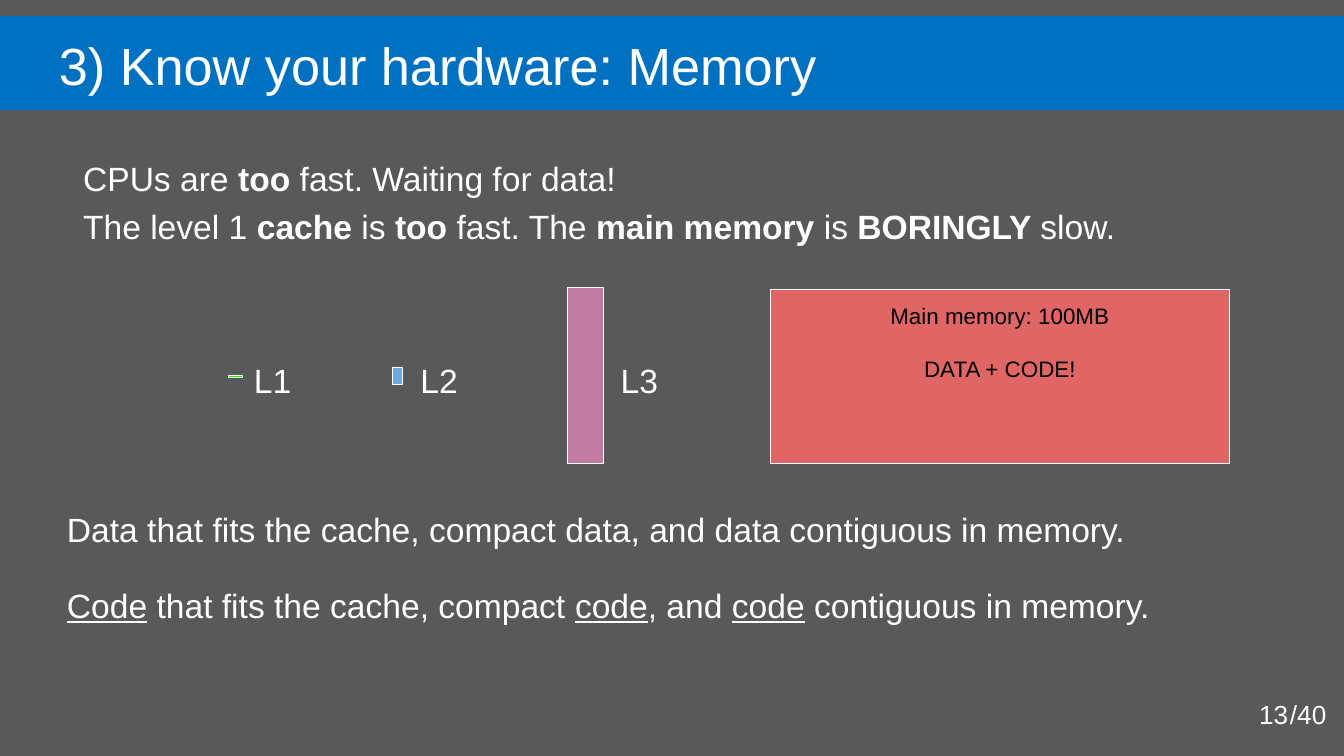
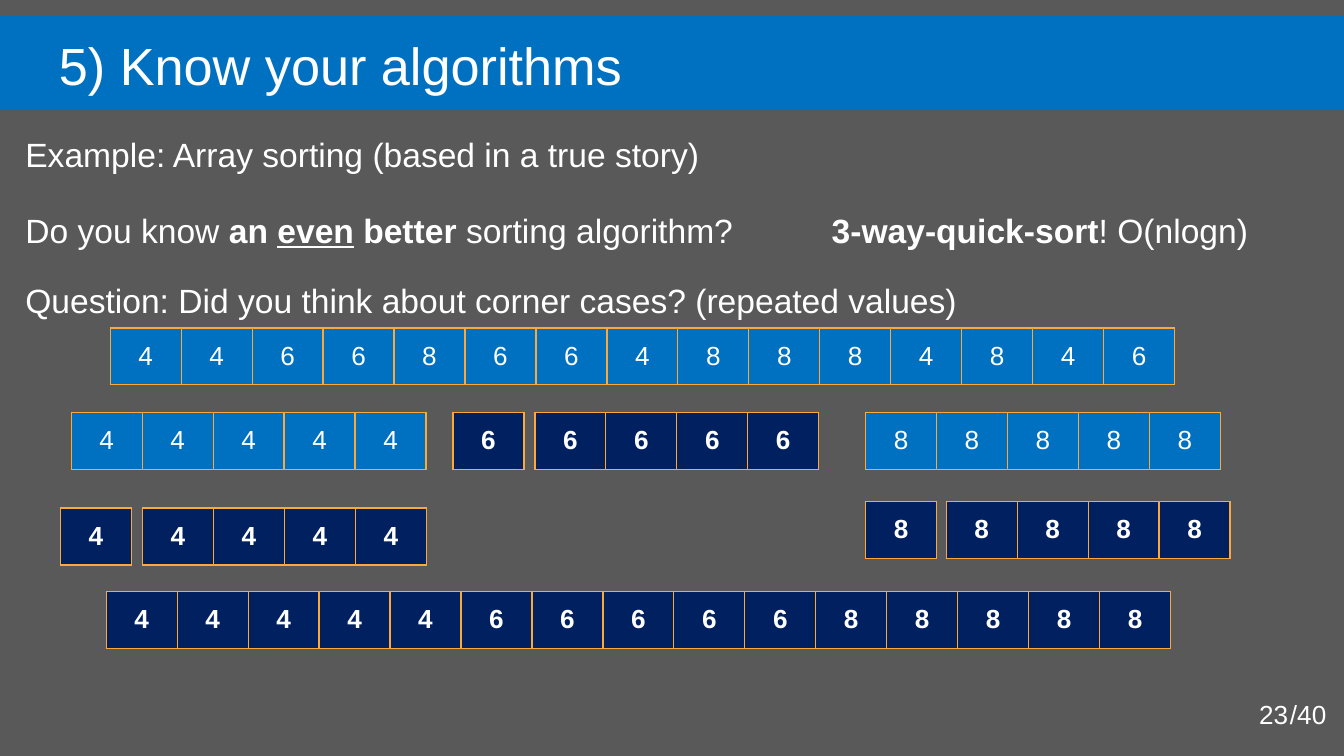
from lxml.etree import SubElement
from pptx import Presentation
from pptx.dml.color import RGBColor
from pptx.enum.shapes import MSO_SHAPE
from pptx.enum.text import MSO_ANCHOR, PP_ALIGN
from pptx.oxml.ns import qn
from pptx.util import Inches, Pt

FONT = "Arial"
GREY, WHITE, BLACK = "595959", "FFFFFF", "000000"
BLUE, NAVY, ORANGE = "0070C0", "002060", "FEA83A"
CELL_WIDTH, CELL_HEIGHT = 7.92 / 15, 0.42
PAGE_COUNT = 40


def color(value):
    return RGBColor.from_string(value)


def set_frame(frame, anchor=MSO_ANCHOR.TOP):
    frame.word_wrap = True
    frame.vertical_anchor = anchor
    frame.margin_left = frame.margin_right = Inches(0.1)
    frame.margin_top = frame.margin_bottom = Inches(0.1)


def add_spans(para, spans, size, ink=WHITE):
    """Each span is plain text or a (text, marks) pair; marks hold b and u."""
    for item in spans:
        text, marks = (item, "") if isinstance(item, str) else item
        span = para.add_run()
        span.text = text
        span.font.name = FONT
        span.font.size = Pt(size)
        span.font.color.rgb = color(ink)
        span.font.bold = "b" in marks
        span.font.underline = "u" in marks


def add_text(page, box, paragraphs, size=18, spacing=1.15, after=16,
             anchor=MSO_ANCHOR.TOP):
    frame = page.shapes.add_textbox(*map(Inches, box)).text_frame
    set_frame(frame, anchor)
    for index, spans in enumerate(paragraphs):
        para = frame.add_paragraph() if index else frame.paragraphs[0]
        para.line_spacing = spacing
        para.space_after = Pt(after)
        add_spans(para, spans, size)
    return frame


def add_tab_stop(para, position):
    stops = SubElement(para._p.get_or_add_pPr(), qn("a:tabLst"))
    SubElement(stops, qn("a:tab"), pos=str(Inches(position)), algn="l")


def add_block(page, box, fill, line=None):
    block = page.shapes.add_shape(MSO_SHAPE.RECTANGLE, *map(Inches, box))
    block.shadow.inherit = False
    block.fill.solid()
    block.fill.fore_color.rgb = color(fill)
    if line:
        block.line.color.rgb = color(line)
        block.line.width = Pt(0.25)
    else:
        block.line.fill.background()
    return block


def add_page(deck, title, number):
    """Add a page with its background, title band and page number."""
    page = deck.slides.add_slide(deck.slide_layouts[6])
    page.background.fill.solid()
    page.background.fill.fore_color.rgb = color(GREY)
    add_block(page, (0, 0.12, 10, 0.7), BLUE)
    add_text(page, (0.34, 0.15, 9.32, 0.63), [[title]], 28, 1, 0)
    for left, text in ((9.27, str(number)), (9.5, f"/{PAGE_COUNT}")):
        add_text(page, (left, 5.1, 0.6, 0.43), [[text]], 14, 1, 0,
                 MSO_ANCHOR.MIDDLE)
    return page


def add_cell_borders(cell):
    properties = cell._tc.get_or_add_tcPr()
    for side in ("lnL", "lnR", "lnT", "lnB"):
        line = SubElement(properties, qn(f"a:{side}"), w=str(Pt(0.75)))
        fill = SubElement(line, qn("a:solidFill"))
        SubElement(fill, qn("a:srgbClr"), val=ORANGE)


def add_array(page, left, top, digits, is_sorted=False):
    """Draw one table cell per digit; sorted values are navy and bold."""
    table = page.shapes.add_table(
        1, len(digits), Inches(left), Inches(top),
        Inches(CELL_WIDTH * len(digits)), Inches(CELL_HEIGHT)).table
    table.first_row = table.horz_banding = False
    for column, digit in enumerate(digits):
        table.columns[column].width = Inches(CELL_WIDTH)
        cell = table.cell(0, column)
        add_cell_borders(cell)
        cell.fill.solid()
        cell.fill.fore_color.rgb = color(NAVY if is_sorted else BLUE)
        cell.margin_left = cell.margin_right = cell.margin_top = Inches(0.1)
        cell.margin_bottom = Inches(0.09)
        para = cell.text_frame.paragraphs[0]
        para.alignment = PP_ALIGN.CENTER
        add_spans(para, [(digit, "b" if is_sorted else "")], 14)


def add_main_memory(page, box):
    frame = add_block(page, box, "E06666", WHITE).text_frame
    set_frame(frame)
    for index, text in enumerate(("Main memory: 100MB", "DATA + CODE!")):
        para = frame.add_paragraph() if index else frame.paragraphs[0]
        para.alignment = PP_ALIGN.CENTER
        para.space_before = Pt(14 * index)
        add_spans(para, [text], 12, BLACK)


def add_caches(page):
    caches = [
        ("L1", (1.7, 2.79, 0.1, 0.02), "00FF00", 1.79),
        ("L2", (2.92, 2.73, 0.07, 0.13), "6FA8DC", 3.03),
        ("L3", (4.22, 2.14, 0.27, 1.31), "C27BA0", 4.52),
    ]
    for name, box, fill, label_left in caches:
        add_block(page, box, fill, WHITE)
        add_text(page, (label_left, 2.53, 0.55, 0.52), [[name]])


def build_memory_page(deck):
    page = add_page(deck, "3) Know your hardware: Memory", 13)
    add_text(page, (0.52, 1.03, 8.68, 0.54), [
        ["CPUs are ", ("too ", "b"), "fast. Waiting for data!"]])
    add_text(page, (0.52, 1.39, 8.98, 0.58), [
        ["The level 1 ", ("cache ", "b"), "is ", ("too ", "b"), "fast. The ",
         ("main memory ", "b"), "is ", ("BORINGLY ", "b"), "slow."]])
    add_text(page, (0.4, 3.64, 8.75, 1.18), [
        ["Data that fits the cache, compact data, and data contiguous in memory."],
        [("Code", "u"), " that fits the cache, compact ", ("code", "u"),
         ", and ", ("code", "u"), " contiguous in memory."]])
    add_main_memory(page, (5.73, 2.15, 3.42, 1.3))
    add_caches(page)


def build_sorting_page(deck):
    page = add_page(deck, "5) Know your algorithms", 23)
    frame = add_text(page, (0.09, 0.85, 9.68, 4.63), [
        ["Example: Array sorting (based in a true story)"],
        ["Do you know ", ("an ", "b"), ("even", "bu"), (" better", "b"),
         " sorting algorithm?\t", ("3-way-quick-sort", "b"), "! O(nlogn)"],
        ["Question: Did you think about corner cases? (repeated values)"]])
    add_tab_stop(frame.paragraphs[1], 6)
    question = frame.paragraphs[2]
    question.line_spacing = 1.0
    question.space_after = Pt(0)

    add_array(page, 0.82, 2.44, "446686648884846")
    add_array(page, 0.53, 3.07, "4" * 5)
    add_array(page, 6.44, 3.07, "8" * 5)
    # Each pivot stands just left of the values equal to it.
    for digit, pivot_left, equal_left, top in (
            ("6", 3.37, 3.98, 3.07), ("4", 0.45, 1.06, 3.78),
            ("8", 6.44, 7.04, 3.73)):
        add_array(page, pivot_left, top, digit, True)
        add_array(page, equal_left, top, digit * 4, True)
    add_array(page, 0.79, 4.4, "4" * 5 + "6" * 5 + "8" * 5, True)


def main():
    deck = Presentation()
    deck.slide_width = Inches(10)
    deck.slide_height = deck.slide_width * 9 // 16
    build_memory_page(deck)
    build_sorting_page(deck)
    deck.save("out.pptx")


if __name__ == "__main__":
    main()
